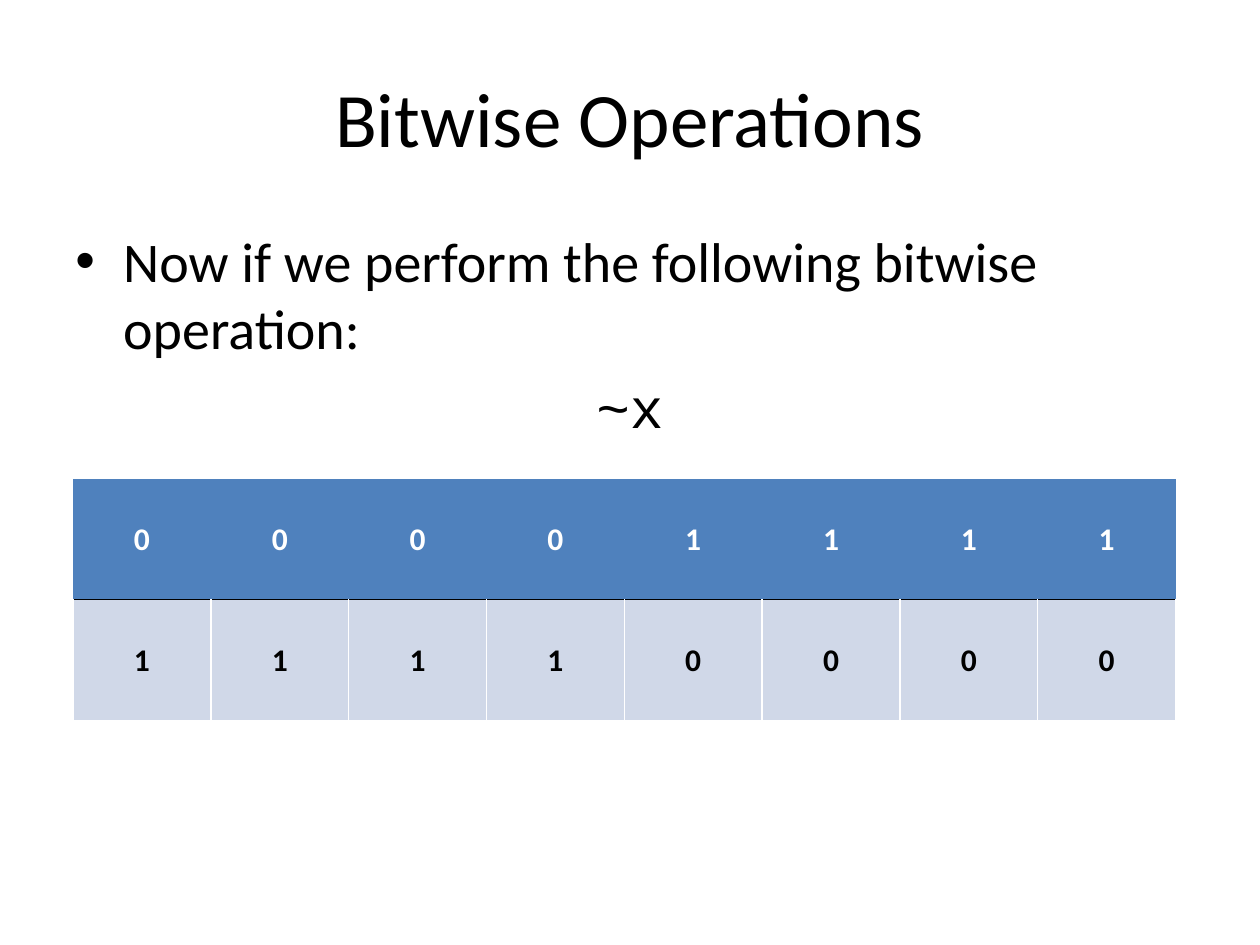
from lxml import etree
from pptx import Presentation
from pptx import util as u
from pptx.dml.color import RGBColor
from pptx.enum import text
from pptx.oxml import ns

COLORS = {
    "ink": "000000",
    "white": "FFFFFF",
    "header": "4F81BD",
    "result": "D0D8E8",
}


def color(name):
    return RGBColor.from_string(COLORS[name])


def add_text(p, content, size=32, font="Calibri", ink="ink", bold=False,
             align=text.PP_ALIGN.LEFT, before=0):
    p.alignment = align
    p.space_before = u.Pt(before)
    r = p.add_run()
    r.text = content
    r.font.size = u.Pt(size)
    r.font.name = font
    r.font.bold = bold
    r.font.color.rgb = color(ink)


def add_bullet(p, indent):
    pPr = p._p.get_or_add_pPr()
    pPr.set("marL", str(u.Inches(indent)))
    pPr.set("indent", str(u.Inches(-indent)))
    etree.SubElement(pPr, ns.qn("a:buFont"), typeface="Arial")
    etree.SubElement(pPr, ns.qn("a:buChar"), char="•")


def add_box(s, box, anchor):
    tf = s.shapes.add_textbox(*map(u.Inches, box)).text_frame
    tf.word_wrap = True
    tf.vertical_anchor = anchor
    return tf


def set_border(cell, side, line):
    tcPr = cell._tc.get_or_add_tcPr()
    ln = etree.SubElement(tcPr, ns.qn(f"a:ln{side}"), w=str(u.Pt(1)))
    if line is None:
        etree.SubElement(ln, ns.qn("a:noFill"))
    else:
        fill = etree.SubElement(ln, ns.qn("a:solidFill"))
        etree.SubElement(fill, ns.qn("a:srgbClr"), val=COLORS[line])


def add_title(s, box):
    tf = add_box(s, box, text.MSO_ANCHOR.MIDDLE)
    add_text(tf.paragraphs[0], "Bitwise Operations", size=44,
             align=text.PP_ALIGN.CENTER)


def add_body(s, box):
    tf = add_box(s, box, text.MSO_ANCHOR.TOP)
    p = tf.paragraphs[0]
    add_bullet(p, 0.38)
    add_text(p, "Now if we perform the following bitwise operation:")
    add_text(tf.add_paragraph(), "~x", font="Courier New",
             align=text.PP_ALIGN.CENTER, before=6.4)


def add_bits(s, box, bits):
    inverse = "".join("1" if bit == "0" else "0" for bit in bits)
    rows = [
        (bits, "header", "white", {"L": None, "R": None, "T": None, "B": "ink"}),
        (inverse, "result", "ink",
         {"L": "white", "R": "white", "T": "ink", "B": "white"}),
    ]
    table = s.shapes.add_table(len(rows), len(bits), *map(u.Inches, box)).table
    for i, (row_bits, fill, ink, borders) in enumerate(rows):
        for j, bit in enumerate(row_bits):
            cell = table.cell(i, j)
            for side, line in borders.items():
                set_border(cell, side, line)
            cell.fill.solid()
            cell.fill.fore_color.rgb = color(fill)
            cell.vertical_anchor = text.MSO_ANCHOR.MIDDLE
            add_text(cell.text_frame.paragraphs[0], bit, size=18, ink=ink,
                     bold=True, align=text.PP_ALIGN.CENTER)


def main():
    prs = Presentation()
    prs.slide_width = u.Inches(10)
    prs.slide_height = u.Inches(7.5)
    s = prs.slides.add_slide(prs.slide_layouts[6])
    add_title(s, (0.5, 0.3, 9, 1.25))
    add_body(s, (0.5, 1.75, 9, 4.95))
    add_bits(s, (0.58, 3.8, 8.75, 1.92), "00001111")
    prs.save("out.pptx")


if __name__ == "__main__":
    main()
